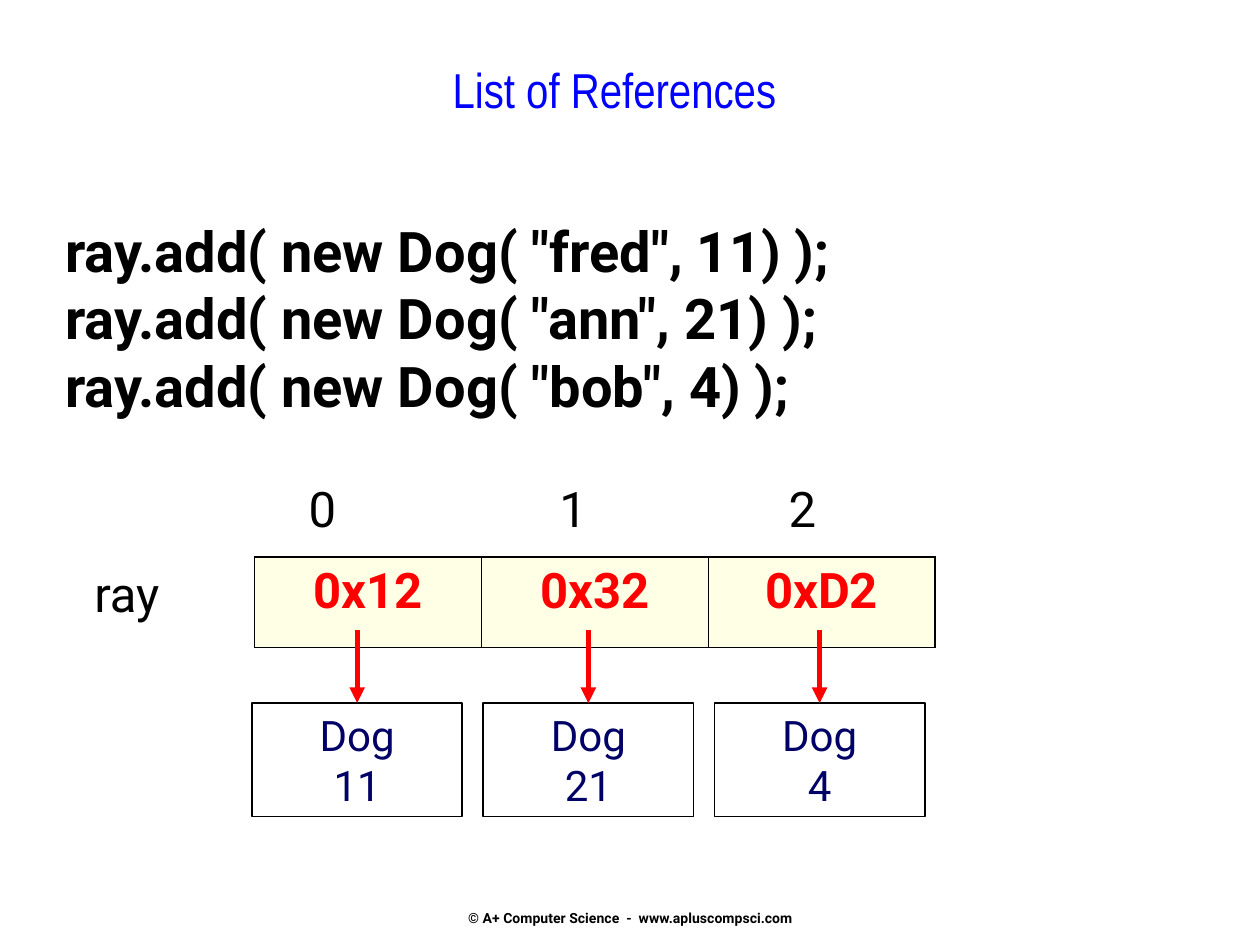
from lxml import etree
from pptx import Presentation
from pptx.dml.color import RGBColor
from pptx.enum.shapes import MSO_CONNECTOR, MSO_SHAPE
from pptx.enum.text import MSO_ANCHOR, PP_ALIGN
from pptx.oxml.ns import qn
from pptx.util import Inches, Pt

LEFT, CENTER = PP_ALIGN.LEFT, PP_ALIGN.CENTER
TOP, MIDDLE = MSO_ANCHOR.TOP, MSO_ANCHOR.MIDDLE
RECTANGLE = MSO_SHAPE.RECTANGLE
STRAIGHT = MSO_CONNECTOR.STRAIGHT

BLACK, RED, BLUE, NAVY = "000000", "FF0000", "0000FF", "000066"
CELL_FILL = "FFFFE5"
BOX_TOP_SIDE = 0

CODE = """ray.add( new Dog( "fred", 11) );
ray.add( new Dog( "ann", 21) );
ray.add( new Dog( "bob", 4) );"""
ADDRESSES = ["0x12", "0x32", "0xD2"]
AGES = [11, 21, 4]
INDEX_CENTERS = [0.29, 2.28, 4.1]


def color(value):
    return RGBColor.from_string(value)


def write(frame, text, size=28, ink=BLACK, font="Roboto", bold=False,
          align=LEFT, anchor=TOP, center_tabs=()):
    """Fill a text frame with one paragraph for each line of text."""
    frame.word_wrap = True
    frame.vertical_anchor = anchor
    for number, line in enumerate(text.split("\n")):
        para = frame.add_paragraph() if number else frame.paragraphs[0]
        para.alignment = align
        if center_tabs:
            tabs = etree.SubElement(para._p.get_or_add_pPr(), qn("a:tabLst"))
            for position in center_tabs:
                etree.SubElement(tabs, qn("a:tab"),
                                 pos=str(Inches(position)), algn="ctr")
        span = para.add_run()
        span.text = line
        span.font.name = font
        span.font.size = Pt(size)
        span.font.bold = bold
        span.font.color.rgb = color(ink)


def add_text(page, left, top, width, height, text, **style):
    box = page.shapes.add_textbox(Inches(left), Inches(top),
                                  Inches(width), Inches(height))
    write(box.text_frame, text, **style)


def set_border(cell, side, width):
    line = etree.SubElement(cell._tc.get_or_add_tcPr(), qn(f"a:ln{side}"),
                            w=str(Pt(width)))
    fill = etree.SubElement(line, qn("a:solidFill"))
    etree.SubElement(fill, qn("a:srgbClr"), val=BLACK)


def add_reference_table(page, left, top, width, height):
    table = page.shapes.add_table(1, len(ADDRESSES), Inches(left), Inches(top),
                                  Inches(width), Inches(height)).table
    table.first_row = table.horz_banding = False
    last = len(ADDRESSES) - 1
    for column, address in enumerate(ADDRESSES):
        cell = table.cell(0, column)
        set_border(cell, "L", 0.45 if column else 1.08)
        set_border(cell, "R", 0.45 if column < last else 1.08)
        set_border(cell, "T", 1.08)
        set_border(cell, "B", 1.08)
        cell.fill.solid()
        cell.fill.fore_color.rgb = color(CELL_FILL)
        write(cell.text_frame, address, ink=RED, bold=True, align=CENTER)


def add_dog(page, left, top, width, height, age):
    box = page.shapes.add_shape(RECTANGLE, Inches(left), Inches(top),
                                Inches(width), Inches(height))
    box.shadow.inherit = False
    box.fill.background()
    box.line.color.rgb = color(BLACK)
    box.line.width = Pt(1)
    write(box.text_frame, f"Dog\n{age}", size=24, ink=NAVY, align=CENTER)
    return box


def add_reference_arrow(page, box, length):
    middle = box.left + box.width // 2
    arrow = page.shapes.add_connector(STRAIGHT, middle,
                                      box.top - Inches(length), middle, box.top)
    arrow.end_connect(box, BOX_TOP_SIDE)
    arrow.line.color.rgb = color(RED)
    arrow.line.width = Pt(3)
    etree.SubElement(arrow.line._get_or_add_ln(), qn("a:tailEnd"),
                     type="triangle")
    etree.SubElement(arrow._element.spPr, qn("a:effectLst"))


def add_dogs(page, left, top, width, height, box_width=1.67):
    """Spread the dog boxes evenly over the width, an arrow above each."""
    step = (width - box_width) / (len(AGES) - 1)
    for number, age in enumerate(AGES):
        box = add_dog(page, left + number * step, top, box_width, height, age)
        add_reference_arrow(page, box, length=0.58)


def main():
    deck = Presentation()
    deck.slide_width, deck.slide_height = Inches(10), Inches(7.5)
    page = deck.slides.add_slide(deck.slide_layouts[6])

    add_text(page, 3.42, 7.16, 3.17, 0.25,
             "© A+ Computer Science  -  www.apluscompsci.com",
             size=8, bold=True, align=CENTER, anchor=MIDDLE)
    add_text(page, 0.5, 0.42, 8.75, 1, "List of References",
             font="Arial Narrow", ink=BLUE, align=CENTER)
    add_text(page, 0.42, 1.67, 7.83, 2.24, CODE, size=32, bold=True)
    add_text(page, 0.65, 4.42, 0.77, 0.57, "ray")
    add_text(page, 2.17, 3.75, 5.75, 0.57, "\t0\t1\t2",
             center_tabs=INDEX_CENTERS)
    add_reference_table(page, 2.02, 4.42, 5.4, 0.72)
    add_dogs(page, 2, 5.58, 5.34, 0.9)

    deck.save("out.pptx")


if __name__ == "__main__":
    main()
